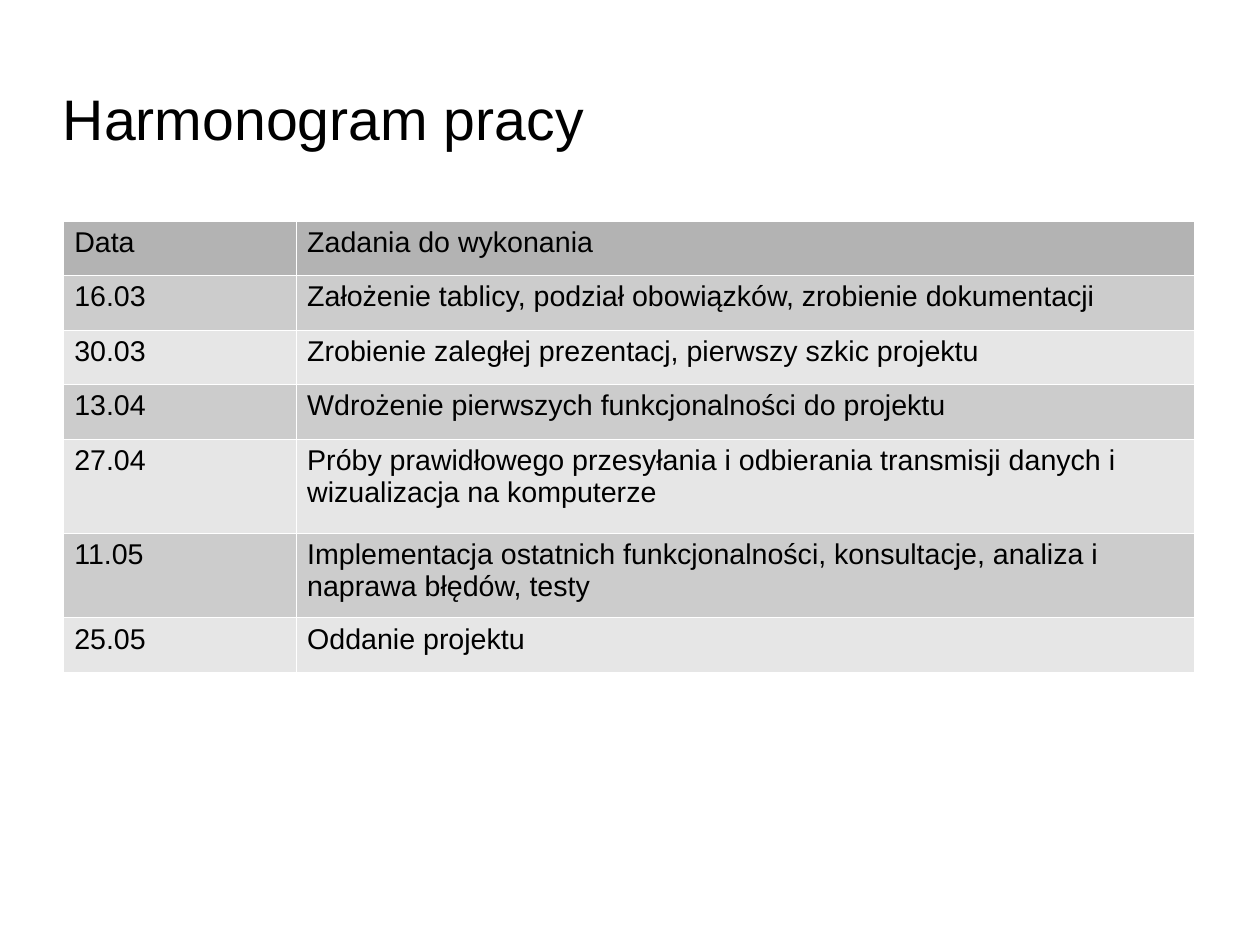
"""Build the work schedule slide with its title and task table."""
from dataclasses import dataclass

from lxml import etree
from pptx import Presentation
from pptx import util as u
from pptx.dml import color
from pptx.enum import text
from pptx.oxml import ns


@dataclass(frozen=True)
class Theme:
    font: str = "Arial"
    ink: str = "000000"
    edge: str = "FFFFFF"
    head: str = "B3B3B3"
    odd: str = "CCCCCC"
    even: str = "E6E6E6"
    title: float = 36
    body: float = 18
    rule: float = 0.06


@dataclass(frozen=True)
class Row:
    date: str
    task: str
    high: float = 0.48


@dataclass(frozen=True)
class Box:
    left: float
    top: float
    wide: float
    high: float


THEME = Theme()
CM = 1 / 2.54
HEAD = Box(0.55, 0.63, 7.87, 0.79)
PLAN = Box(0.55, 1.93, 9.9, 3.95)
COLS = (2.04, 7.87)
ROWS = (
    Row("Data", "Zadania do wykonania"),
    Row("16.03", "Założenie tablicy, podział obowiązków, zrobienie dokumentacji"),
    Row("30.03", "Zrobienie zaległej prezentacj, pierwszy szkic projektu"),
    Row("13.04", "Wdrożenie pierwszych funkcjonalności do projektu"),
    Row("27.04", "Próby prawidłowego przesyłania i odbierania transmisji danych "
        "i wizualizacja na komputerze", 0.83),
    Row("11.05", "Implementacja ostatnich funkcjonalności, konsultacje, analiza "
        "i naprawa błędów, testy", 0.74),
    Row("25.05", "Oddanie projektu"),
)


def place(box: Box) -> tuple[u.Length, ...]:
    return tuple(map(u.Inches, (box.left, box.top, box.wide, box.high)))


def share(parts: tuple[float, ...], total: float) -> list[u.Length]:
    return [u.Inches(part * total / sum(parts)) for part in parts]


def write(para, words: str, *, size: float) -> None:
    para.alignment = text.PP_ALIGN.LEFT
    run = para.add_run()
    run.text = words
    run.font.name = THEME.font
    run.font.size = u.Pt(size)
    run.font.bold = False
    run.font.color.rgb = color.RGBColor.from_string(THEME.ink)


def border(cell) -> None:
    props = cell._tc.get_or_add_tcPr()
    for side in ("lnL", "lnR", "lnT", "lnB"):
        line = etree.SubElement(props, ns.qn(f"a:{side}"), w=str(u.Pt(THEME.rule)))
        fill = etree.SubElement(line, ns.qn("a:solidFill"))
        etree.SubElement(fill, ns.qn("a:srgbClr"), val=THEME.edge)


def paint(cell, words: str, shade: str) -> None:
    border(cell)
    cell.fill.solid()
    cell.fill.fore_color.rgb = color.RGBColor.from_string(shade)
    cell.margin_left = cell.margin_right = u.Inches(0.1)
    cell.margin_top = cell.margin_bottom = u.Inches(0.05)
    cell.vertical_anchor = text.MSO_ANCHOR.TOP
    write(cell.text_frame.paragraphs[0], words, size=THEME.body)


def add_plan(slide) -> None:
    grid = slide.shapes.add_table(len(ROWS), len(COLS), *place(PLAN)).table
    grid.first_row = grid.horz_banding = False
    for col, wide in zip(grid.columns, share(COLS, PLAN.wide)):
        col.width = wide
    highs = share(tuple(row.high for row in ROWS), PLAN.high)
    for i, (row, high) in enumerate(zip(ROWS, highs)):
        grid.rows[i].height = high
        shade = THEME.head if i == 0 else THEME.odd if i % 2 else THEME.even
        for j, words in enumerate((row.date, row.task)):
            paint(grid.cell(i, j), words, shade)


def add_title(slide, words: str) -> None:
    title = slide.shapes.title
    title.left, title.top, title.width, title.height = place(HEAD)
    frame = title.text_frame
    frame.word_wrap = True
    frame.auto_size = text.MSO_AUTO_SIZE.SHAPE_TO_FIT_TEXT
    frame.vertical_anchor = text.MSO_ANCHOR.MIDDLE
    frame.margin_left = frame.margin_right = u.Inches(0)
    frame.margin_top = frame.margin_bottom = u.Inches(0)
    write(frame.paragraphs[0], words, size=THEME.title)


def main() -> None:
    deck = Presentation()
    deck.slide_width = u.Inches(28 * CM)
    deck.slide_height = u.Inches(21 * CM)
    slide = deck.slides.add_slide(deck.slide_layouts.get_by_name("Title Only"))
    add_title(slide, "Harmonogram pracy")
    add_plan(slide)
    deck.save("out.pptx")


if __name__ == "__main__":
    main()
